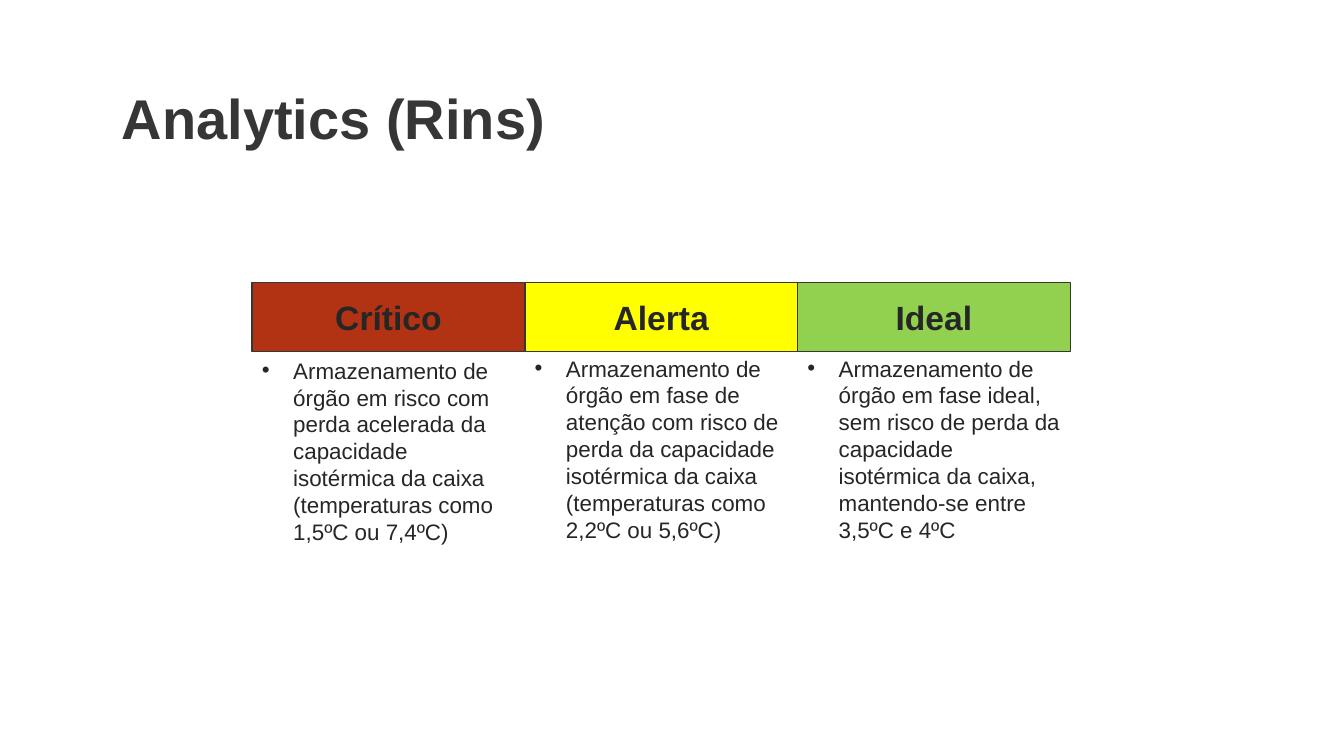
from dataclasses import dataclass

from lxml import etree
from pptx import Presentation
from pptx import util as u
from pptx.dml.color import RGBColor
from pptx.enum import shapes, text
from pptx.oxml import ns
from pptx.slide import Slide
from pptx.text.text import _Paragraph as Paragraph

FONT = "Arial"
TITLE_COLOR = "363636"
TEXT_COLOR = "262626"

# Grid of the three status columns, in inches
GRID_LEFT = 2.5
COLUMN_WIDTH = 2.705
HEADER_TOP = 2.8
HEADER_HEIGHT = 0.69
BULLET_INDENT = 0.31


@dataclass
class Status:
    name: str
    fill: str
    description: str
    description_top: float
    description_height: float


STATUSES = [
    Status("Crítico", "B23214",
           "Armazenamento de órgão em risco com perda acelerada da capacidade "
           "isotérmica da caixa (temperaturas como 1,5ºC ou 7,4ºC)", 3.49, 1.99),
    Status("Alerta", "FFFF00",
           "Armazenamento de órgão em fase de atenção com risco de perda da capacidade "
           "isotérmica da caixa (temperaturas como 2,2ºC ou 5,6ºC)", 3.47, 2.26),
    Status("Ideal", "92D050",
           "Armazenamento de órgão em fase ideal, sem risco de perda da capacidade "
           "isotérmica da caixa, mantendo-se entre 3,5ºC e 4ºC", 3.47, 1.99),
]


def color(value: str) -> RGBColor:
    return RGBColor.from_string(value)


def add_run(paragraph: Paragraph, words: str, size: int, hex_color: str,
            bold: bool = False) -> None:
    run = paragraph.add_run()
    run.text = words
    run.font.name = FONT
    run.font.size = u.Pt(size)
    run.font.bold = bold
    run.font.color.rgb = color(hex_color)


def add_bullet(paragraph: Paragraph) -> None:
    properties = paragraph._p.get_or_add_pPr()
    indent = u.Inches(BULLET_INDENT)
    properties.set("marL", str(indent))
    properties.set("indent", str(-indent))
    etree.SubElement(properties, ns.qn("a:buFont")).set("typeface", FONT)
    etree.SubElement(properties, ns.qn("a:buChar")).set("char", "•")


def add_title(slide: Slide, words: str) -> None:
    title = slide.shapes.title
    title.left, title.top = u.Inches(1.11), u.Inches(0.56)
    title.width, title.height = u.Inches(11.12), u.Inches(1.29)
    title.text_frame.vertical_anchor = text.MSO_ANCHOR.MIDDLE
    paragraph = title.text_frame.paragraphs[0]
    paragraph.alignment = text.PP_ALIGN.LEFT
    paragraph.line_spacing = 0.9
    add_run(paragraph, words, 40, TITLE_COLOR, bold=True)


def add_header(slide: Slide, status: Status, left: float) -> None:
    shape = slide.shapes.add_shape(
        shapes.MSO_SHAPE.RECTANGLE, u.Inches(left), u.Inches(HEADER_TOP),
        u.Inches(COLUMN_WIDTH), u.Inches(HEADER_HEIGHT))
    shape.shadow.inherit = False
    shape.fill.solid()
    shape.fill.fore_color.rgb = color(status.fill)
    shape.line.color.rgb = color(TITLE_COLOR)
    shape.line.width = u.Pt(1)
    shape.text_frame.vertical_anchor = text.MSO_ANCHOR.MIDDLE
    paragraph = shape.text_frame.paragraphs[0]
    paragraph.alignment = text.PP_ALIGN.CENTER
    add_run(paragraph, status.name, 24, TEXT_COLOR, bold=True)


def add_description(slide: Slide, status: Status, left: float) -> None:
    box = slide.shapes.add_textbox(
        u.Inches(left), u.Inches(status.description_top),
        u.Inches(COLUMN_WIDTH), u.Inches(status.description_height))
    box.text_frame.word_wrap = True
    box.text_frame.auto_size = text.MSO_AUTO_SIZE.SHAPE_TO_FIT_TEXT
    paragraph = box.text_frame.paragraphs[0]
    add_bullet(paragraph)
    add_run(paragraph, status.description, 16, TEXT_COLOR)


def main() -> None:
    presentation = Presentation()
    presentation.slide_width = u.Inches(13.33)
    presentation.slide_height = u.Inches(7.5)
    slide = presentation.slides.add_slide(presentation.slide_layouts[5])

    add_title(slide, "Analytics (Rins)")

    # Coloured headers first, then the descriptions below them
    lefts = [GRID_LEFT + column * COLUMN_WIDTH for column in range(len(STATUSES))]
    for add_part in (add_header, add_description):
        for status, left in zip(STATUSES, lefts):
            add_part(slide, status, left)

    presentation.save("out.pptx")


if __name__ == "__main__":
    main()
